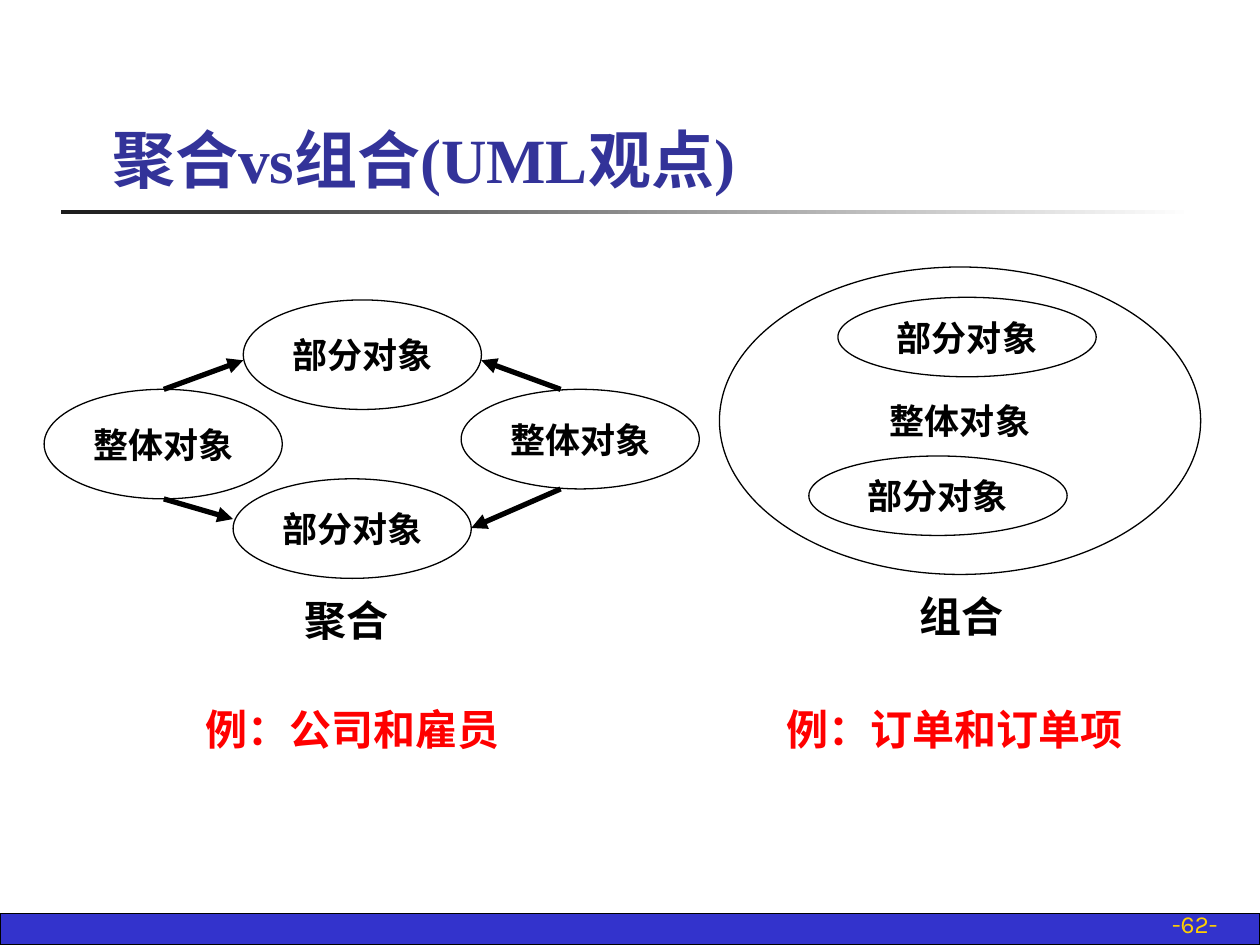
from pptx import Presentation
from pptx.util import Pt
from pptx.dml.color import RGBColor as RGB
from pptx.enum.shapes import MSO_SHAPE as SHAPE, MSO_CONNECTOR as CONN
from pptx.enum.text import PP_ALIGN as AL, MSO_ANCHOR as ANC, MSO_AUTO_SIZE as AUTO
from pptx.oxml.ns import qn
from lxml.etree import SubElement

HUES = {"black": "000000", "white": "FFFFFF", "dark": "1C1C1C", "blue": "3333CC",
        "navy": "333399", "gold": "FFCF01", "red": "FF0000"}
HUES = {name: RGB.from_string(code) for name, code in HUES.items()}


def write(shape, text, size=20, hue="black", face="Karla", bold=True,
          align=AL.LEFT, anchor=ANC.TOP, wrap=True, auto=AUTO.NONE):
    frame = shape.text_frame
    frame.auto_size = auto
    frame.word_wrap = wrap
    frame.vertical_anchor = anchor
    para = frame.paragraphs[0]
    para.alignment = align
    run = para.add_run()
    run.text = text
    font = run.font
    font.size, font.name, font.bold = Pt(size), face, bold
    font.color.rgb = HUES[hue]


def draw(shapes, kind, box):
    shape = shapes.add_shape(kind, *map(Pt, box))
    shape.shadow.inherit = False
    shape.fill.background()
    shape.line.color.rgb = HUES["black"]
    shape.line.width = Pt(0.75)
    return shape


prs = Presentation()
prs.slide_width, prs.slide_height = Pt(720), Pt(540)
slide = prs.slides.add_slide(prs.slide_layouts[5])
shapes = slide.shapes

title = shapes.title
title.left, title.top, title.width, title.height = map(Pt, (56.9, 25.9, 613.4, 90))
write(title, "聚合vs组合(UML观点)", size=36, hue="navy", face="Times New Roman",
      anchor=ANC.BOTTOM)

bar = draw(shapes, SHAPE.RECTANGLE, (0, 522, 720, 18))
bar.fill.solid()
bar.fill.fore_color.rgb = HUES["blue"]

rule = draw(shapes, SHAPE.RECTANGLE, (34.6, 120.2, 648, 2.2))
rule.line.fill.background()
rule.fill.gradient()
rule.fill.gradient_angle = 0
for stop, hue in zip(rule.fill.gradient_stops, ("dark", "white")):
    stop.color.rgb = HUES[hue]

page = shapes.add_textbox(*map(Pt, (553, 516.2, 149.8, 23.8)))
write(page, "-62-", size=14, hue="gold", bold=False, align=AL.RIGHT, anchor=ANC.BOTTOM)

left = shapes.add_group_shape().shapes
right = shapes.add_group_shape().shapes

ovals = [
    (left, "整体对象", (25.2, 222.5, 136.1, 62.6)),
    (left, "整体对象", (263.5, 222.5, 136.1, 56.9)),
    (left, "部分对象", (139, 171.4, 136.1, 62.6)),
    (left, "部分对象", (133.2, 273.6, 136.1, 56.9)),
    (right, "整体对象", (411.1, 152.6, 275, 175.7)),
    (right, "部分对象", (462.2, 260.6, 147.6, 45.4)),
    (right, "部分对象", (478.8, 169.9, 147.6, 45.4)),
]
for group, text, box in ovals:
    oval = draw(group, SHAPE.OVAL, box)
    write(oval, text, align=AL.CENTER, anchor=ANC.MIDDLE, wrap=False)

arrows = [
    (93.6, 222.5, 139, 205.9),
    (93.6, 285.1, 133.2, 296.6),
    (320.4, 222.5, 275, 205.9),
    (320.4, 279.4, 269.3, 301.7),
]
for ends in arrows:
    arrow = left.add_connector(CONN.STRAIGHT, *map(Pt, ends))
    arrow.line.color.rgb = HUES["black"]
    arrow.line.width = Pt(3)
    SubElement(arrow.line._get_or_add_ln(), qn("a:tailEnd"), type="triangle")
    SubElement(arrow._element.spPr, qn("a:effectLst"))

labels = [
    (left, "聚合", "black", (167, 336.2, 85, 36)),
    (right, "组合", "black", (518.4, 334.1, 108, 36)),
    (shapes, "例：公司和雇员", "red", (110.2, 398.2, 193, 36)),
    (shapes, "例：订单和订单项", "red", (442.1, 398.2, 244.1, 36)),
]
for group, text, hue, box in labels:
    label = group.add_textbox(*map(Pt, box))
    write(label, text, size=24, hue=hue, auto=AUTO.SHAPE_TO_FIT_TEXT)

prs.save("out.pptx")
